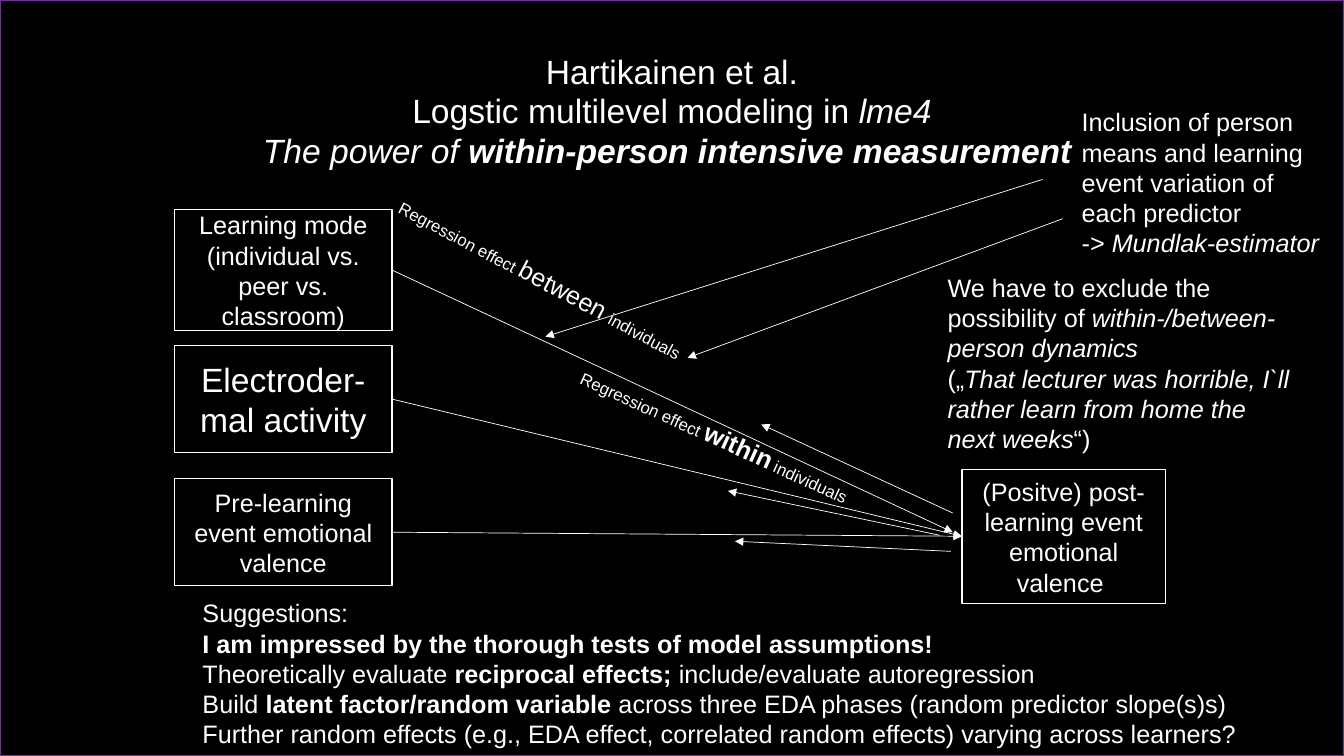
from lxml.etree import SubElement
from pptx import Presentation
from pptx.dml.color import RGBColor
from pptx.enum.shapes import MSO_CONNECTOR as Connector, MSO_SHAPE as Shape
from pptx.enum.text import MSO_ANCHOR as Anchor, MSO_AUTO_SIZE as AutoSize, PP_ALIGN as Align
from pptx.oxml.ns import qn
from pptx.util import Inches, Pt

COLORS = {"background": "000000", "ink": "FFFFFF", "frame": "7030A0"}
FONT = "Arial"
WIDTH, HEIGHT = 13.33, 7.5

PREDICTOR_LEFT, PREDICTOR_WIDTH = 1.73, 2.16
PREDICTORS = [
    ("Learning mode (individual vs. peer vs. classroom)", 2.08, 1.2, 18),
    ("Electroder-mal activity", 3.43, 1.06, 24),
    ("Pre-learning event emotional valence", 4.75, 1.06, 18),
]
OUTCOME = ("(Positve) post-learning event emotional valence ", 9.54, 4.66, 2.02, 1.33, 18)
OUTCOME_ENTRIES = [(9.45, 5.28), (9.54, 5.32), (9.54, 5.32)]

OTHER_ARROWS = [
    ((10.34, 1.78), (5.41, 3.34)),
    ((10.54, 2.17), (6.82, 3.55)),
    ((9.45, 5.09), (7.55, 4.21)),
    ((9.32, 5.31), (7.22, 4.87)),
    ((9.43, 5.47), (7.29, 5.37)),
]

HEADINGS = [
    ((0, 0.46, WIDTH, 0.5), [[("Hartikainen et al.", "", 24)]]),
    ((0, 0.84, WIDTH, 0.91), [
        [("Logstic multilevel modeling in ", "", 24), ("lme4", "i", 24)],
        [("The power of ", "i", 24), ("within-person intensive measurement ", "bi", 24)],
    ]),
]

NOTES = [
    ((10.63, 1.01, 2.7, 1.62), [
        [("Inclusion of person means and learning event variation of each predictor", "", 18)],
        [("-> ", "", 18), ("Mundlak-estimator", "i", 18)],
    ]),
    ((9.3, 2.65, 3.69, 1.92), [
        [("We have to exclude the possibility of ", "", 18),
         ("within-/between-person dynamics", "i", 18)],
        [("(„", "", 18),
         ("That lecturer was horrible, I`ll rather learn from home the next weeks", "i", 18),
         ("“)", "", 18)],
    ]),
    ((1.91, 5.88, 11.28, 1.62), [
        [("Suggestions:", "", 18)],
        [("I am impressed by the thorough tests of model assumptions!", "b", 18)],
        [("Theoretically evaluate ", "", 18), ("reciprocal effects; ", "b", 18),
         ("include/evaluate autoregression", "", 18)],
        [("Build ", "", 18), ("latent factor/random variable ", "b", 18),
         ("across three EDA phases (random predictor slope(s)s)", "", 18)],
        [("Further random effects (e.g., EDA effect, correlated random effects) "
          "varying across learners?", "", 18)],
    ]),
]

EFFECT_LABELS = [
    ((3.62, 2.9, 4.8, 0.4), 27.9, [
        [("Regression effect ", "", 12), ("between ", "", 18), ("individuals", "", 12)]]),
    ((5.47, 4.5, 4.94, 0.4), 24.5, [
        [("Regression effect ", "", 12), ("within", "b", 18), (" individuals", "", 12)]]),
]


def color(name):
    return RGBColor.from_string(COLORS[name])


def write(frame, paragraphs, align):
    frame.word_wrap = True
    for index, pieces in enumerate(paragraphs):
        para = frame.paragraphs[0] if index == 0 else frame.add_paragraph()
        para.alignment = align
        for text, style, size in pieces:
            span = para.add_run()
            span.text = text
            span.font.name = FONT
            span.font.size = Pt(size)
            span.font.bold = "b" in style
            span.font.italic = "i" in style
            span.font.color.rgb = color("ink")


def add_text(page, area, paragraphs, align=Align.LEFT, rotation=0):
    box = page.shapes.add_textbox(*map(Inches, area))
    box.rotation = rotation
    write(box.text_frame, paragraphs, align)
    box.text_frame.auto_size = AutoSize.SHAPE_TO_FIT_TEXT


def add_outline(page, area, line_color):
    box = page.shapes.add_shape(Shape.RECTANGLE, *map(Inches, area))
    box.shadow.inherit = False
    box.fill.background()
    box.line.color.rgb = color(line_color)
    box.line.width = Pt(1)
    return box


def add_variable(page, text, area, size):
    frame = add_outline(page, area, "ink").text_frame
    frame.vertical_anchor = Anchor.MIDDLE
    write(frame, [[(text, "", size)]], Align.CENTER)


def add_arrow(page, start, end):
    arrow = page.shapes.add_connector(Connector.STRAIGHT, *map(Inches, start + end))
    arrow.line.color.rgb = color("ink")
    arrow.line.width = Pt(0.5)
    SubElement(arrow.line._get_or_add_ln(), qn("a:tailEnd"), type="triangle")
    SubElement(arrow._element.spPr, qn("a:effectLst"))


def main():
    deck = Presentation()
    deck.slide_width, deck.slide_height = Inches(WIDTH), Inches(HEIGHT)
    page = deck.slides.add_slide(deck.slide_layouts[6])
    page.background.fill.solid()
    page.background.fill.fore_color.rgb = color("background")
    add_outline(page, (0, 0, WIDTH, HEIGHT), "frame")

    for area, paragraphs in HEADINGS:
        add_text(page, area, paragraphs, Align.CENTER)
    for area, paragraphs in NOTES:
        add_text(page, area, paragraphs)

    outcome_text, *outcome_area, outcome_size = OUTCOME
    add_variable(page, outcome_text, outcome_area, outcome_size)
    for (text, top, height, size), entry in zip(PREDICTORS, OUTCOME_ENTRIES):
        add_variable(page, text, (PREDICTOR_LEFT, top, PREDICTOR_WIDTH, height), size)
        add_arrow(page, (PREDICTOR_LEFT + PREDICTOR_WIDTH, top + height / 2), entry)
    for start, end in OTHER_ARROWS:
        add_arrow(page, start, end)

    for area, rotation, paragraphs in EFFECT_LABELS:
        add_text(page, area, paragraphs, rotation=rotation)
    deck.save("out.pptx")


if __name__ == "__main__":
    main()
